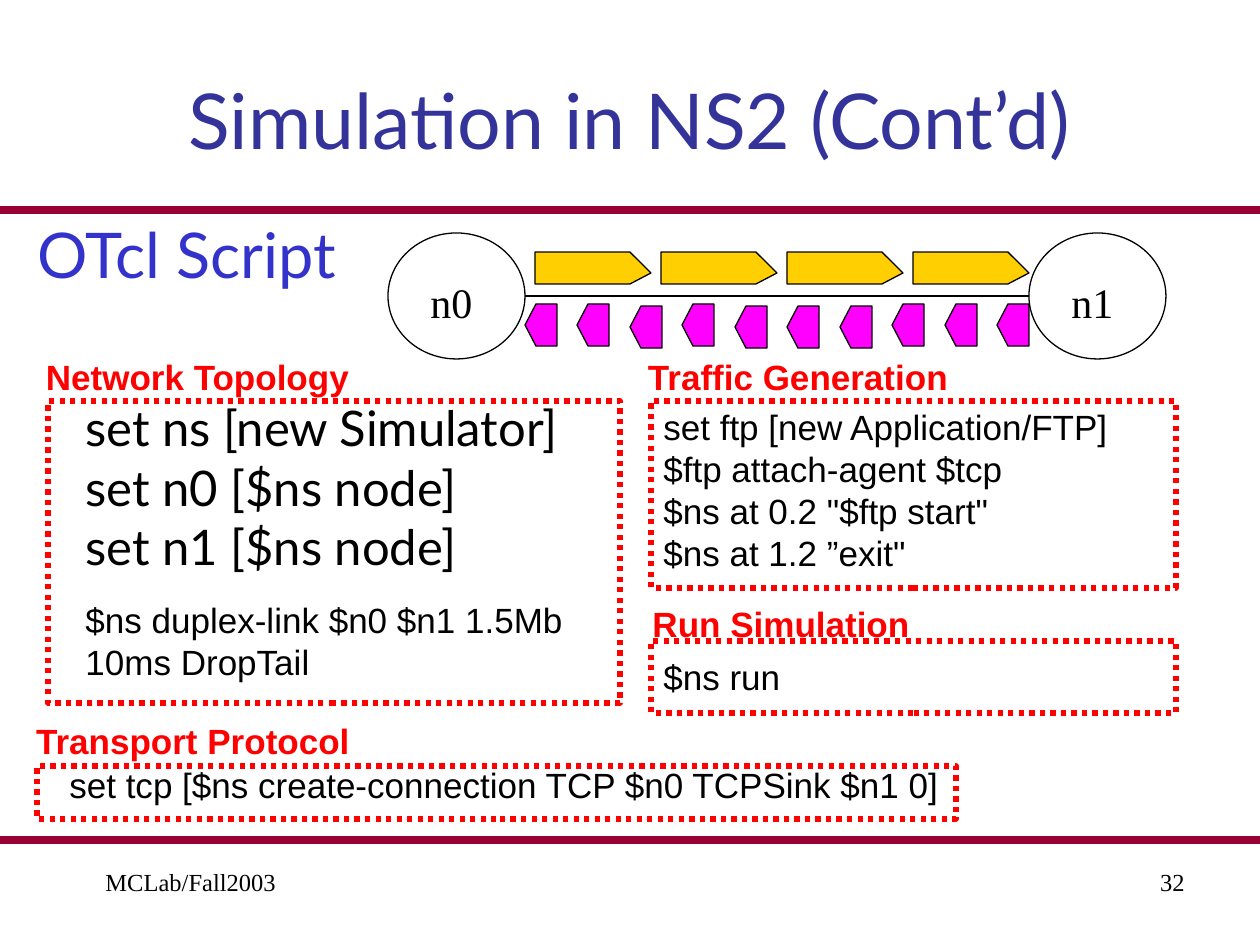
from lxml import etree
from pptx import Presentation
from pptx.dml.color import RGBColor
from pptx.enum.dml import MSO_LINE
from pptx.enum.shapes import MSO_CONNECTOR, MSO_SHAPE
from pptx.enum.text import MSO_ANCHOR, PP_ALIGN
from pptx.oxml.ns import qn
from pptx.util import Emu, Pt

STRAIGHT = MSO_CONNECTOR.STRAIGHT
ELLIPSE, RECTANGLE = MSO_SHAPE.OVAL, MSO_SHAPE.RECTANGLE
LEFT, CENTER, RIGHT = PP_ALIGN.LEFT, PP_ALIGN.CENTER, PP_ALIGN.RIGHT
TOP, MIDDLE = MSO_ANCHOR.TOP, MSO_ANCHOR.MIDDLE
DOTTED = MSO_LINE.ROUND_DOT

BLACK = RGBColor(0x00, 0x00, 0x00)
RED = RGBColor(0xFF, 0x00, 0x00)
MAROON = RGBColor(0x99, 0x00, 0x33)
GOLD = RGBColor(0xFF, 0xCF, 0x01)
MAGENTA = RGBColor(0xFF, 0x00, 0xFF)
NAVY = RGBColor(0x33, 0x33, 0x99)
BLUE = RGBColor(0x33, 0x33, 0xCC)

EMU_PER_PX = 914400 / 126
THIN = 0.75


def px(length):
    return Emu(round(length * EMU_PER_PX))


class SlideBuilder:
    heading_font = "Lato"
    body_font = "Arial"
    serif_font = "Times New Roman"

    def __init__(self, slide):
        self.slide = slide
        self.shapes = slide.shapes

    def text(self, box, lines, size=20, font=body_font, color=BLACK, bold=False,
             align=LEFT, anchor=TOP, wrap=True, margin=0, indent=0,
             line_spacing=None, gap=0):
        frame = self.shapes.add_textbox(*map(px, box)).text_frame
        frame.word_wrap = wrap
        frame.vertical_anchor = anchor
        for index, line in enumerate(lines):
            paragraph = frame.add_paragraph() if index else frame.paragraphs[0]
            paragraph.text = line
            paragraph.alignment = align
            if line_spacing:
                paragraph.line_spacing = line_spacing
            if index and gap:
                paragraph.space_before = Pt(gap)
            if margin:
                properties = paragraph._p.get_or_add_pPr()
                properties.set("marL", str(px(margin)))
                properties.set("indent", str(px(indent)))
            paragraph.font.size = Pt(size)
            paragraph.font.name = font
            paragraph.font.bold = bold
            paragraph.font.color.rgb = color

    def heading(self, left, top, width, label):
        self.text((left, top, width, 55), [label], color=RED, bold=True,
                  align=CENTER, wrap=False)

    def line(self, start, end, color, width):
        connector = self.shapes.add_connector(
            STRAIGHT, *map(px, start), *map(px, end))
        connector.line.color.rgb = color
        connector.line.width = Pt(width)
        etree.SubElement(connector._element.spPr, qn("a:effectLst"))

    def outline(self, kind, box, color=BLACK, width=THIN, dash=None):
        shape = self.shapes.add_shape(kind, *map(px, box))
        shape.shadow.inherit = False
        shape.fill.background()
        shape.line.color.rgb = color
        shape.line.width = Pt(width)
        if dash:
            shape.line.dash_style = dash

    def dotted_frame(self, *box):
        self.outline(RECTANGLE, box, RED, 3, DOTTED)

    def node(self, left, name):
        self.outline(ELLIPSE, (left, 233, 137, 126))
        self.text((left + 30, 270, 67, 63), [name], 24, self.serif_font, wrap=False)

    def packet(self, left, top, points, color):
        (first_x, first_y), *others = points
        builder = self.shapes.build_freeform(
            left + first_x, top + first_y, scale=EMU_PER_PX)
        builder.add_line_segments([(left + x, top + y) for x, y in others])
        shape = builder.convert_to_shape()
        shape.shadow.inherit = False
        shape.fill.solid()
        shape.fill.fore_color.rgb = color
        shape.line.color.rgb = BLACK
        shape.line.width = Pt(THIN)


def main():
    presentation = Presentation()
    presentation.slide_width = px(1260)
    presentation.slide_height = px(945)
    slide = presentation.slides.add_slide(presentation.slide_layouts[6])
    page = SlideBuilder(slide)

    for rule_y in (210, 840):
        page.line((0, rule_y), (1260, rule_y), MAROON, 4.5)
    page.text((63, 42, 1134, 154), ["Simulation in NS2 (Cont’d)"], 44,
              page.heading_font, NAVY, align=CENTER, anchor=MIDDLE)
    page.text((25, 209, 340, 88), ["OTcl Script"], 36, page.heading_font, BLUE,
              wrap=False)

    page.line((525, 296), (1029, 296), BLACK, THIN)
    data_points = [(0, 0), (95, 0), (116, 21), (95, 32), (0, 32)]
    for index in range(4):
        page.packet(535 + 126 * index, 252, data_points, GOLD)
    reply_points = [(32, 0), (11, 0), (0, 21), (11, 42), (32, 42)]
    lowered_replies = (2, 4, 5, 6)
    for index in range(10):
        top = 306 if index in lowered_replies else 304
        page.packet(525 + 105 * index // 2, top, reply_points, MAGENTA)
    page.node(388, "n0")
    page.node(1029, "n1")

    page.heading(32, 349, 331, "Network Topology")
    page.dotted_frame(48, 401, 572, 302)
    page.text((73, 403, 588, 179),
              ["set ns [new Simulator]", "set n0 [$ns node]", "set n1 [$ns node]"],
              28, page.heading_font, margin=48, indent=-48, line_spacing=0.8, gap=7)
    page.text((73, 592, 588, 116), ["$ns duplex-link $n0 $n1 1.5Mb 10ms DropTail"])

    page.heading(635, 349, 326, "Traffic Generation")
    page.dotted_frame(651, 401, 525, 187)
    page.text((651, 399, 525, 189),
              ["set ftp [new Application/FTP]", "$ftp attach-agent $tcp",
               '$ns at 0.2 "$ftp start"', '$ns at 1.2 ”exit"'])

    page.heading(640, 596, 282, "Run Simulation")
    page.dotted_frame(651, 641, 525, 72)
    page.text((651, 649, 142, 55), ["$ns run"], wrap=False)

    page.heading(23, 713, 340, "Transport Protocol")
    page.dotted_frame(37, 766, 919, 53)
    page.text((57, 757, 895, 62),
              ["set tcp [$ns create-connection TCP $n0 TCPSink $n1 0]"])

    for left, label, align in ((63, "MCLab/Fall2003", LEFT), (903, "32", RIGHT)):
        page.text((left, 861, 294, 66), [label], 14, page.serif_font,
                  align=align, margin=30)

    presentation.save("out.pptx")


if __name__ == "__main__":
    main()
